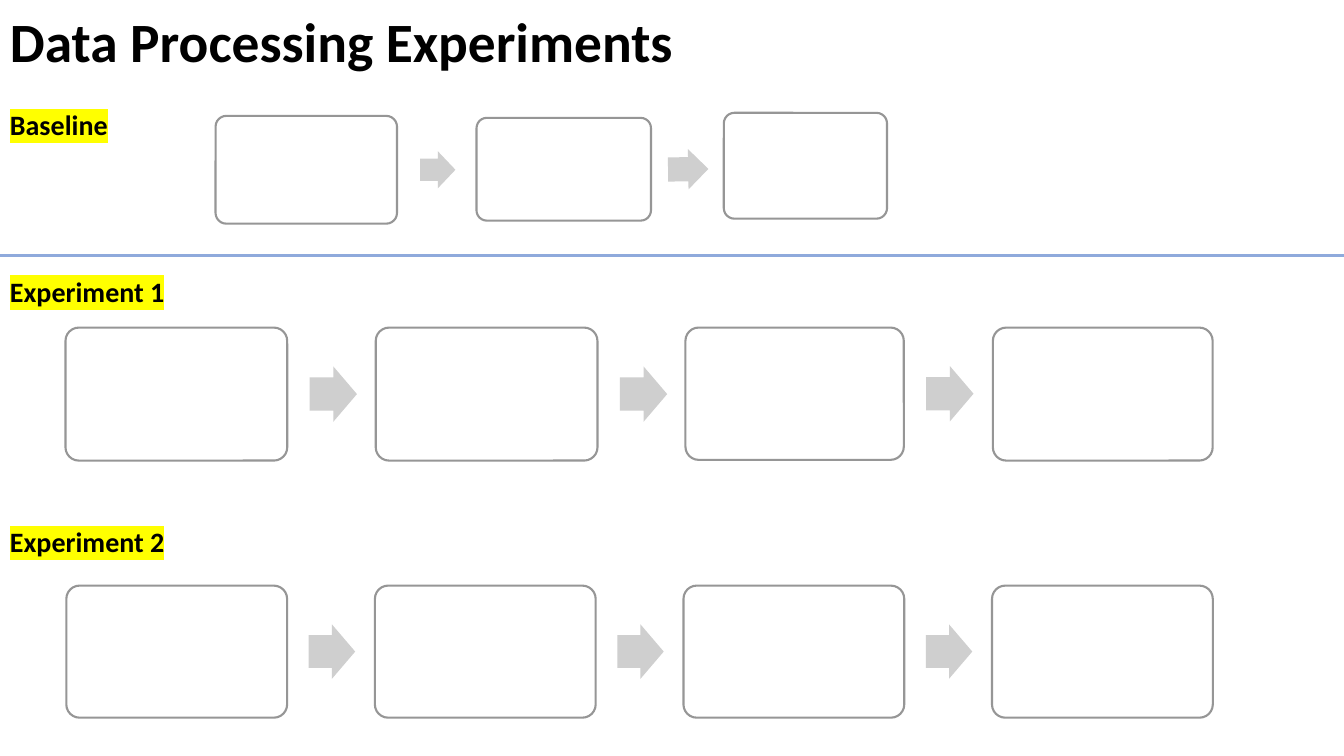
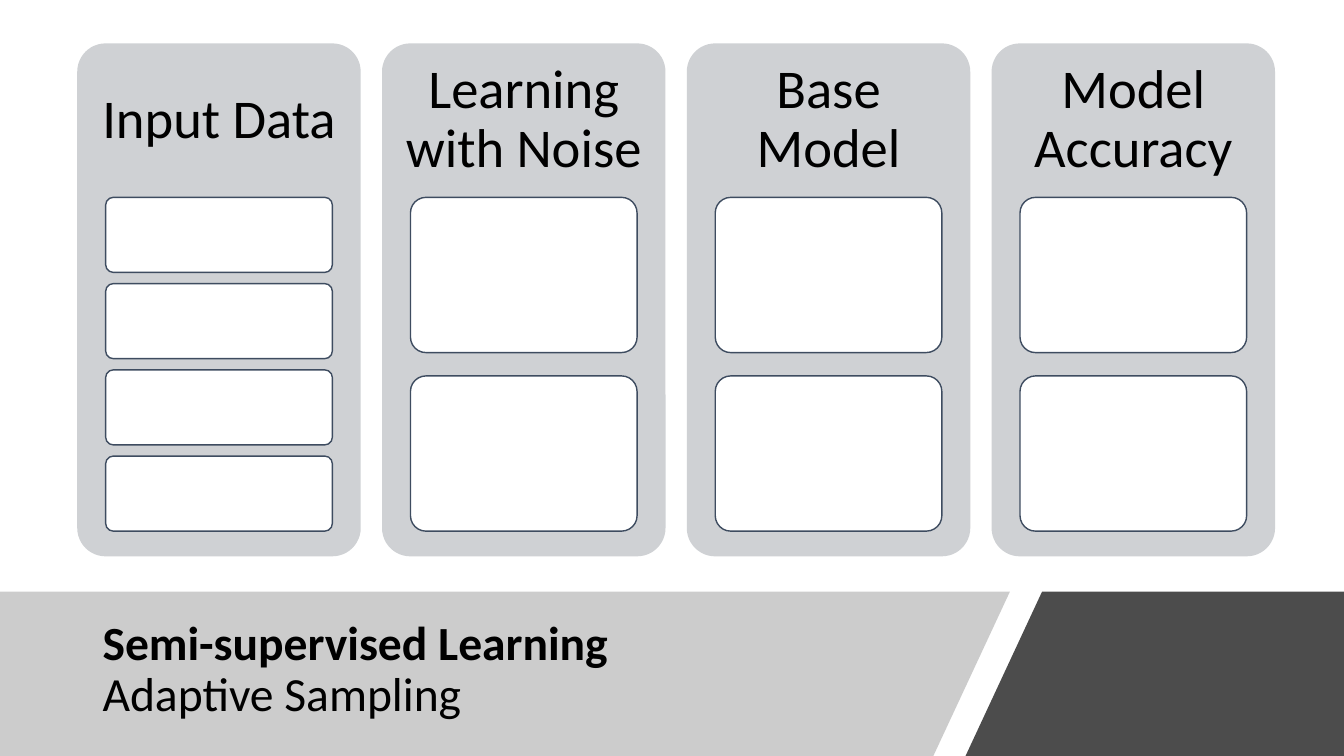
from lxml import etree
from pptx import Presentation
from pptx.dml.color import RGBColor
from pptx.enum import shapes, text
from pptx.oxml import ns
from pptx.util import Pt

FONT = "Calibri"
BLACK = RGBColor(0x00, 0x00, 0x00)
WHITE = RGBColor(0xFF, 0xFF, 0xFF)
MID_GREY = RGBColor(0x80, 0x80, 0x80)
STEP_LINE = RGBColor(0x96, 0x96, 0x96)
ARROW_GREY = RGBColor(0xCF, 0xCF, 0xCF)
PANEL_GREY = RGBColor(0xCF, 0xD1, 0xD4)
CARD_LINE = RGBColor(0x3E, 0x4C, 0x60)
RULE_BLUE = RGBColor(0x8F, 0xAA, 0xDC)
YELLOW = RGBColor(0xFF, 0xFF, 0x00)

WIDTH, HEIGHT = 960, 540
INSET = (7.2, 3.6)  # side, top and bottom


# Shared building parts
def sub_element(parent, tag, **attributes):
    return etree.SubElement(parent, ns.qn(tag), **attributes)


def style_shape(shape, fill, line=None, line_width=1):
    shape.shadow.inherit = False
    shape.fill.solid()
    shape.fill.fore_color.rgb = fill
    if line is None:
        shape.line.fill.background()
    else:
        shape.line.color.rgb = line
        shape.line.width = Pt(line_width)


def add_box(slide, box, fill, line=None, line_width=1):
    shape = slide.shapes.add_shape(
        shapes.MSO_SHAPE.ROUNDED_RECTANGLE, *map(Pt, box))
    shape.adjustments[0] = 0.1
    style_shape(shape, fill, line, line_width)


def add_text(slide, box, lines, size, anchor=text.MSO_ANCHOR.TOP,
             align=text.PP_ALIGN.LEFT, spacing=1.0, inset=INSET, highlight=None):
    """Each line is (words, bold); lines are parted by line breaks."""
    frame = slide.shapes.add_textbox(*map(Pt, box)).text_frame
    frame.word_wrap = True
    frame.vertical_anchor = anchor
    frame.margin_left = frame.margin_right = Pt(inset[0])
    frame.margin_top = frame.margin_bottom = Pt(inset[1])
    paragraph = frame.paragraphs[0]
    paragraph.alignment = align
    paragraph.line_spacing = spacing
    for index, (words, bold) in enumerate(lines):
        if index:
            paragraph.add_line_break()
        run = paragraph.add_run()
        run.text = words
        run.font.name = FONT
        run.font.size = Pt(size)
        run.font.bold = bold
        run.font.color.rgb = BLACK
        if highlight is not None:
            mark = etree.Element(ns.qn("a:highlight"))
            sub_element(mark, "a:srgbClr", val=str(highlight))
            run.font._element.find(ns.qn("a:solidFill")).addnext(mark)


# Process flows
def add_flow(slide, left, top, steps, arrows):
    """Steps are (dx, dy, width, height); arrows are (gap, width, height,
    rotation), each centred on the step before it."""
    for dx, dy, width, height in steps:
        add_box(slide, (left + dx, top + dy, width, height),
                WHITE, STEP_LINE, 1.5)
    for (dx, dy, step_width, step_height), arrow in zip(steps, arrows):
        gap, width, height, rotation = arrow
        shape = slide.shapes.add_shape(
            shapes.MSO_SHAPE.RIGHT_ARROW,
            Pt(left + dx + step_width + gap),
            Pt(top + dy + (step_height - height) / 2), Pt(width), Pt(height))
        shape.adjustments[0] = 0.6
        shape.rotation = rotation
        style_shape(shape, ARROW_GREY)


def add_rule(slide, top):
    rule = slide.shapes.add_connector(
        shapes.MSO_CONNECTOR.STRAIGHT, 0, Pt(top), Pt(WIDTH), Pt(top))
    rule.line.color.rgb = RULE_BLUE
    rule.line.width = Pt(2)
    sub_element(rule._element.spPr, "a:effectLst")


def build_experiments(slide):
    add_text(slide, (0, 0, 540, 64), [("Data Processing Experiments", True)],
             39.6, text.MSO_ANCHOR.MIDDLE, spacing=0.9)
    add_flow(slide, 154, 80.6,
             [(0, 2.2, 129.6, 77), (186.4, 3.6, 124.6, 73.4),
              (363, 0, 116.6, 75.6)],
             [(16.5, 25.2, 26.6, 0), (12.2, 28.8, 28.8, 359.1)])
    add_flow(slide, 46.8, 234,
             [(0, 0, 158.4, 95), (221.6, 0, 158.4, 95),
              (442.8, 0, 156, 94.5), (662.4, 0, 157, 95)],
             [(16, 33.8, 39.6, 0)] * 3)
    add_flow(slide, 47.4, 418.3,
             [(220.4 * index, 0, 157.7, 94.3) for index in range(4)],
             [(15.4, 33.2, 38.9, 0)] * 3)
    for label, top in (("Baseline", 73.4), ("Experiment 1", 192.2),
                       ("Experiment 2", 371)):
        add_text(slide, (0, top, 157, 31.7), [(label, True)], 20,
                 highlight=YELLOW)
    add_rule(slide, 182.6)


# Columns of cards
def add_column(slide, box, title, card_count):
    left, top, width, height = box
    head, side, foot = 110, 20.3, 18
    add_box(slide, box, PANEL_GREY)
    add_text(slide, (left, top, width, head), [(title, False)], 39,
             text.MSO_ANCHOR.MIDDLE, text.PP_ALIGN.CENTER, 0.9, (11.5, 11.5))
    # The gap between cards is 15% of a card's height
    card_height = (height - head - foot) / (1.15 * card_count - 0.15)
    for index in range(card_count):
        add_box(slide, (left + side, top + head + 1.15 * card_height * index,
                        width - 2 * side, card_height), WHITE, CARD_LINE)


# Footer band
def add_band(slide, points, fill, opacity):
    start, *rest = [(Pt(x), Pt(y)) for x, y in points]
    builder = slide.shapes.build_freeform(*start)
    builder.add_line_segments(rest, close=True)
    band = builder.convert_to_shape()
    style_shape(band, fill)
    color = band._element.spPr.find(ns.qn("a:solidFill"))[0]
    sub_element(color, "a:alpha", val=str(opacity * 1000))


def add_footer(slide, top, lines):
    slant, edge, gap = 54.7, 721.4, 23
    add_band(slide, [(0, top), (edge, top), (edge - slant, HEIGHT),
                     (0, HEIGHT)], MID_GREY, 40)
    add_band(slide, [(edge + gap, top), (WIDTH, top), (WIDTH, HEIGHT),
                     (edge + gap - slant, HEIGHT)], BLACK, 70)
    add_text(slide, (66.2, top + 13, 607.7, 86.4), lines, 34,
             text.MSO_ANCHOR.MIDDLE, spacing=0.9)


def build_learning(slide):
    columns = (("Input Data", 4), ("Learning with Noise", 2),
               ("Base Model", 2), ("Model Accuracy", 2))
    for index, (title, card_count) in enumerate(columns):
        add_column(slide, (55.2 + 217.7 * index, 31, 202.5, 366.4),
                   title, card_count)
    add_footer(slide, 422.6, [("Semi-supervised Learning", True),
                              ("Adaptive Sampling", False)])


def main():
    presentation = Presentation()
    presentation.slide_width = Pt(WIDTH)
    presentation.slide_height = Pt(HEIGHT)
    for build in (build_experiments, build_learning):
        build(presentation.slides.add_slide(presentation.slide_layouts[6]))
    presentation.save("out.pptx")


if __name__ == "__main__":
    main()
